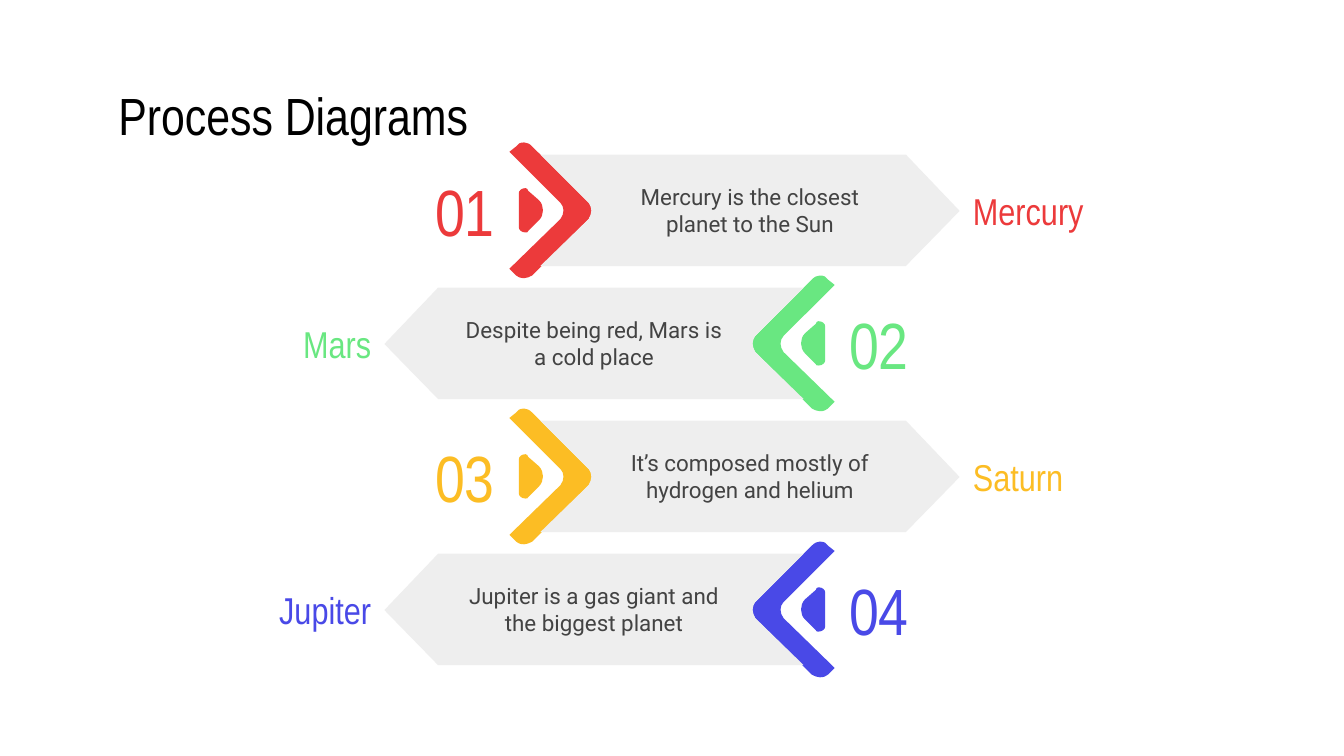
from dataclasses import dataclass

from lxml.etree import SubElement
from pptx import Presentation
from pptx.dml.color import RGBColor
from pptx.enum.text import MSO_ANCHOR, MSO_AUTO_SIZE, PP_ALIGN
from pptx.oxml.ns import qn
from pptx.util import Inches, Pt

SLIDE_WIDTH = 1000
SLIDE_HEIGHT = SLIDE_WIDTH * 9 / 16
SCALE = Inches(10) / SLIDE_WIDTH
ROW_LEFT, ROW_TOP, ROW_WIDTH, ROW_PITCH = 137, 106, 726, 99


@dataclass(frozen=True)
class Theme:
    """Colours, fonts and type sizes of the slide."""
    heading_font: str = "Arial Narrow"
    body_font: str = "Roboto"
    title_size: int = 28
    number_size: int = 35
    label_size: int = 20
    body_size: int = 12
    title: str = "000000"
    body: str = "434343"
    banner: str = "EEEEEE"
    red: str = "EC3A3B"
    green: str = "69E781"
    yellow: str = "FCBD24"
    blue: str = "4949E7"


THEME = Theme()

PLANETS = [
    ("Mercury", "Mercury is the closest planet to the Sun", THEME.red),
    ("Mars", "Despite being red, Mars is a cold place", THEME.green),
    ("Saturn", "It’s composed mostly of hydrogen and helium", THEME.yellow),
    ("Jupiter", "Jupiter is a gas giant and the biggest planet", THEME.blue),
]

CHEVRON = [
    (253, 0), (250, 0, 248, 1, 247, 3), (242, 7), (280, 45),
    (283, 48, 283, 53, 280, 57), (242, 94), (247, 99),
    (248, 100, 250, 101, 253, 101), (255, 101, 257, 100, 259, 99),
    (301, 57), (304, 53, 304, 48, 301, 45), (259, 3),
    (257, 1, 255, 0, 253, 0),
]
POINTER = [
    (254, 34), (251, 34, 249, 36, 249, 38), (249, 63),
    (249, 65, 251, 67, 254, 67), (255, 67, 256, 67, 256, 66), (264, 58),
    (268, 54, 268, 47, 264, 43), (256, 36), (256, 35, 255, 34, 254, 34),
]
BANNER = [
    (265, 9), (301, 45), (302, 46, 303, 49, 303, 51),
    (303, 53, 302, 55, 301, 57), (265, 92), (537, 92), (577, 51), (537, 9),
]


def emu(px):
    """Turn px into EMU."""
    return round(px * SCALE)


def bend(part, outline):
    """Turn the lines through control points into cubic curves."""
    lines = part.element.iter(qn("a:lnTo"))
    lines = iter(list(lines))
    for segment in outline[1:]:
        controls = [next(lines) for _ in segment[::2]]
        if len(controls) == 3:
            first, *others = controls
            first.tag = qn("a:cubicBezTo")
            for control in others:
                for point in control:
                    SubElement(first, qn("a:pt"), dict(point.attrib))
                control.getparent().remove(control)


def write(holder, text, font, size, color, align, inset=10):
    """Put one formatted run in the middle of a text holder."""
    frame = holder.text_frame
    frame.word_wrap = True
    frame.auto_size = MSO_AUTO_SIZE.NONE
    frame.vertical_anchor = MSO_ANCHOR.MIDDLE
    frame.margin_left = frame.margin_right = emu(inset)
    frame.margin_top = frame.margin_bottom = emu(10)
    paragraph = frame.paragraphs[0]
    paragraph.alignment = align
    run = paragraph.add_run()
    run.text = text
    run.font.name = font
    run.font.size = Pt(size)
    run.font.color.rgb = RGBColor.from_string(color)


def add_title(slide, left, top, width, height):
    """Place the slide title in the given box."""
    title = slide.shapes.title
    title.left, title.top = emu(left), emu(top)
    title.width, title.height = emu(width), emu(height)
    write(title, "Process Diagrams", THEME.heading_font, THEME.title_size,
          THEME.title, PP_ALIGN.LEFT)


def add_planet_row(slide, left, top, width, number, planet, fact, color, mirrored):
    """Place one planet step in the given box, mirrored when it points left."""
    row = slide.shapes.add_group_shape().shapes
    toward, away = PP_ALIGN.RIGHT, PP_ALIGN.LEFT
    if mirrored:
        toward, away = away, toward

    def add_outline(outline, fill):
        """Draw a filled outline inside the row."""
        points = [(emu(left + (width - x if mirrored else x)), emu(top + y))
                  for segment in outline
                  for x, y in zip(segment[::2], segment[1::2])]
        builder = row.build_freeform(*points[0])
        builder.add_line_segments(points[1:], close=True)
        part = builder.convert_to_shape()
        bend(part, outline)
        part.shadow.inherit = False
        part.fill.solid()
        part.fill.fore_color.rgb = RGBColor.from_string(fill)
        part.line.fill.background()
        return part

    def add_caption(x, y, box_width, box_height, text, size, align):
        """Write a coloured caption inside the row."""
        x = width - x - box_width if mirrored else x
        caption = row.add_textbox(emu(left + x), emu(top + y),
                                  emu(box_width), emu(box_height))
        write(caption, text, THEME.heading_font, size, color, align)

    add_caption(155, 24, 86, 53, f"{number:02}", THEME.number_size, toward)
    add_outline(CHEVRON, color)
    add_outline(POINTER, color)
    banner = add_outline(BANNER, THEME.banner)
    write(banner, fact, THEME.body_font, THEME.body_size, THEME.body,
          PP_ALIGN.CENTER, inset=60)
    add_caption(577, 27, 149, 47, planet, THEME.label_size, away)


def main():
    """Build the slide and save it."""
    presentation = Presentation()
    presentation.slide_width = emu(SLIDE_WIDTH)
    presentation.slide_height = emu(SLIDE_HEIGHT)
    slide = presentation.slides.add_slide(presentation.slide_layouts[5])
    add_title(slide, 78, 59, 845, 53)
    for index, (planet, fact, color) in enumerate(PLANETS):
        add_planet_row(slide, ROW_LEFT, ROW_TOP + index * ROW_PITCH, ROW_WIDTH,
                       index + 1, planet, fact, color, mirrored=index % 2 == 1)
    presentation.save("out.pptx")


if __name__ == "__main__":
    main()
